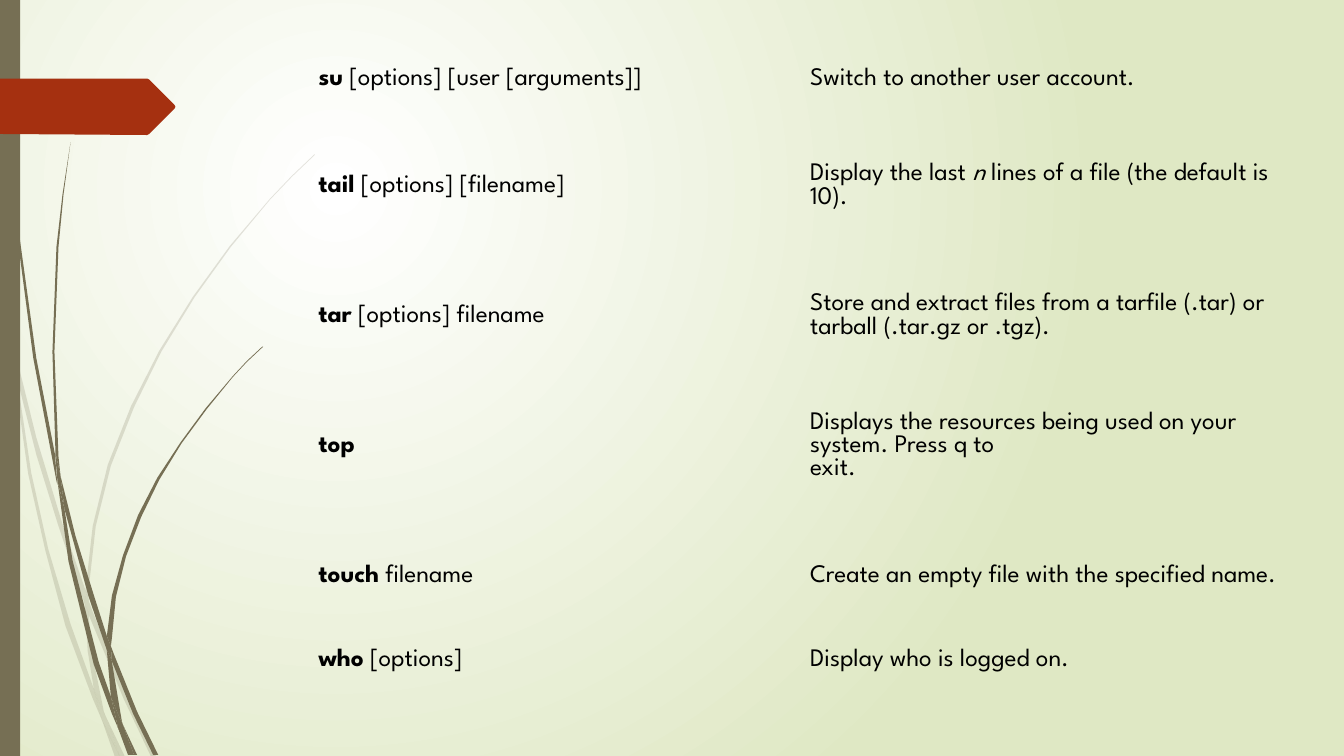
from lxml import etree
from pptx import Presentation
from pptx.dml.color import RGBColor as RGB
from pptx.enum.shapes import MSO_SHAPE as SHAPE
from pptx.enum.text import MSO_ANCHOR as ANCHOR
from pptx.oxml.ns import qn
from pptx.util import Inches, Pt

THEME = {
    "centre": RGB.from_string("FFFFFF"),
    "edge": RGB.from_string("DFE8C4"),
    "stem": RGB.from_string("766F54"),
    "tag": RGB.from_string("A53010"),
    "text": RGB.from_string("000000"),
    "font": "League Spartan",
    "size": Pt(18),
    "pale": 20,
}
PLAIN_TABLE = "{2D5ABB26-0587-4C30-8999-92F81FD0307C}"

# Outlines as "x,y" points in inches from the top left of the region
PALE_STEMS = [
    "0.11,3.5 0.09,3.22 0,2.82 0,2.99 0.1,3.44",
    "0.58,5.22 0.84,5.99 0.85,5.86 0.62,5.2 0.36,4.34 0.14,3.45 0.17,3.76 0.36,4.51",
    "0.92,6.07 0.88,5.96 0.88,6.1 1.23,6.94 1.5,7.51 1.55,7.51 1.27,6.92",
    "1.19,7.51 1.24,7.51 1.05,7.11",
    "0.93,6.83 0.7,6.19 0.48,5.45 0.31,4.69 0.17,3.76 0.11,3.5 0.28,4.7 0.45,5.46 "
    "0.65,6.21 0.92,6.93 1.01,7.14 0.99,7.07",
    "0.84,5.99 0.87,6.46 0.93,6.83 0.96,6.92 1.05,7.11 1.03,7.06 0.91,6.46 0.88,6.1 0.88,6.08",
    "0.88,5.84 0.95,5.22 1.1,4.62 1.33,4.04 1.6,3.49 1.93,2.95 2.29,2.45 2.68,1.98 2.9,1.75 "
    "3.12,1.54 3.12,1.53 2.89,1.75 2.68,1.97 2.28,2.44 1.91,2.95 1.58,3.48 1.3,4.03 1.07,4.61 "
    "0.92,5.22 0.85,5.84 0.85,5.86 0.88,5.96",
    "1.01,7.14 1.14,7.51 1.19,7.51",
    "0.88,6.08 0.88,6.1 0.88,5.96 0.85,5.86 0.84,5.99",
    "0.96,6.92 0.93,6.83 0.99,7.07 1.01,7.14 1.19,7.51 1.05,7.11",
]
DARK_STEMS = [
    "0.07,1.1 0.17,2.33 0.33,3.55 0.56,4.77 0.57,4.81 0.55,4.57 0.55,4.53 0.36,3.55 0.19,2.32 "
    "0.08,1.09 0.05,0.48 0.04,0 0.03,0 0.04,0.48",
    "0.88,5.92 1.06,6.45 1.06,6.31 0.93,5.9 0.75,5.32 0.6,4.72 0.64,5.05",
    "1.13,6.49 1.1,6.41 1.11,6.56 1.32,7.08 1.52,7.49 1.57,7.49 1.36,7.06",
    "1.1,6.91 0.98,6.57 0.72,5.56 0.64,5.05 0.57,4.77 0.68,5.57 0.93,6.59 1.11,7.08 "
    "1.17,7.22 1.16,7.17",
    "0.6,4.72 0.58,4.53 0.54,3.49 0.58,2.45 0.63,1.93 0.7,1.41 0.62,1.93 0.56,2.45 "
    "0.52,3.49 0.55,4.49",
    "1.33,7.49 1.36,7.49 1.22,7.19",
    "0.57,4.77 0.64,5.05 0.6,4.72 0.55,4.49 0.55,4.53",
    "1.11,6.33 1.15,5.92 1.25,5.52 1.4,5.13 1.58,4.76 1.8,4.4 2.05,4.06 2.31,3.74 2.45,3.59 "
    "2.61,3.44 2.6,3.44 2.45,3.58 2.31,3.73 2.04,4.05 1.79,4.39 1.56,4.74 1.37,5.11 1.22,5.51 "
    "1.11,5.91 1.06,6.31 1.1,6.41",
    "1.17,7.22 1.27,7.49 1.31,7.49",
    "1.06,6.45 1.1,6.91 1.16,7.06 1.22,7.19 1.21,7.16 1.11,6.56 1.09,6.51",
    "1.06,6.45 1.09,6.51 1.11,6.56 1.1,6.41 1.06,6.31",
    "1.16,7.06 1.1,6.91 1.16,7.17 1.17,7.22 1.3,7.49 1.33,7.49 1.22,7.19",
]
TAG = "1.73,0.3 1.48,0.55 1.46,0.56 0,0.55 0,0 1.46,0 1.48,0.01 1.73,0.26 1.74,0.28"

# Command, its arguments, and the description as (text, italic) parts
COMMANDS = [
    ("su", " [options] [user [arguments]]", [("Switch to another user account.", False)]),
    ("tail", " [options] [filename]",
     [("Display the last ", False), ("n", True),
      (" lines of a file (the default is\n10).", False)]),
    ("tar", " [options] filename",
     [("Store and extract files from a tarfile (.tar) or tarball (.tar.gz or .tgz).", False)]),
    ("top", "",
     [("Displays the resources being used on your system. Press q to\nexit.", False)]),
    ("touch", " filename", [("Create an empty file with the specified name.", False)]),
    ("who", " [options]", [("Display who is logged on.", False)]),
]
ROW_HEIGHTS = [0.61, 1.52, 1.06, 1.52, 1.06, 0.61]


def paint(sp, color, alpha=None):
    sp.shadow.inherit = False
    sp.fill.solid()
    sp.fill.fore_color.rgb = color
    sp.line.fill.background()
    if alpha is not None:
        clr = sp.fill._xPr.find(".//" + qn("a:srgbClr"))
        etree.SubElement(clr, qn("a:alpha")).set("val", str(alpha * 1000))


def add_outline(shapes, box, outline, color, alpha=None):
    left, top = box[:2]
    pts = [tuple(map(float, pt.split(","))) for pt in outline.split()]
    pts = [(Inches(left + x), Inches(top + y)) for x, y in pts]
    builder = shapes.build_freeform(*pts[0])
    builder.add_line_segments(pts[1:], close=True)
    paint(builder.convert_to_shape(), color, alpha)


def add_background(slide):
    fill = slide.background.fill
    fill.gradient()
    for stop, pos, key in zip(fill.gradient_stops, (0, 1), ("centre", "edge")):
        stop.position = pos
        stop.color.rgb = THEME[key]
    # Radial gradient centred in the upper left quarter
    lin = slide._element.find(".//" + qn("a:lin"))
    radial = etree.Element(qn("a:path"), path="circle")
    etree.SubElement(radial, qn("a:fillToRect"), l="50000", t="50000", r="100000", b="100000")
    lin.getparent().replace(lin, radial)


def add_side_art(slide, box):
    left, top, width, height = box
    # Grass stems, pale ones behind
    for stems, alpha in ((PALE_STEMS, THEME["pale"]), (DARK_STEMS, None)):
        group = slide.shapes.add_group_shape()
        for outline in stems:
            add_outline(group.shapes, box, outline, THEME["stem"], alpha)
    # Edge bar and tag
    bar = slide.shapes.add_shape(SHAPE.RECTANGLE, *map(Inches, (left, top, width, height)))
    paint(bar, THEME["stem"])
    add_outline(slide.shapes, (left, top + 0.78), TAG, THEME["tag"])


def add_run(p, text, **style):
    for i, line in enumerate(text.split("\n")):
        if i:
            p.add_line_break()
        r = p.add_run()
        r.text = line
        for name, value in {"name": THEME["font"], "size": THEME["size"], **style}.items():
            setattr(r.font, name, value)
        r.font.color.rgb = THEME["text"]


def add_command_table(slide, box):
    frame = slide.shapes.add_table(len(COMMANDS), 2, *map(Inches, box))
    tbl = frame.table
    tbl.first_row = tbl.horz_banding = False
    frame._element.find(".//" + qn("a:tableStyleId")).text = PLAIN_TABLE
    for col in tbl.columns:
        col.width = Inches(box[2] / 2)
    for row, height, (command, args, parts) in zip(tbl.rows, ROW_HEIGHTS, COMMANDS):
        row.height = Inches(height)
        for cell in row.cells:
            cell.fill.background()
            cell.vertical_anchor = ANCHOR.MIDDLE
        usage, meaning = (cell.text_frame.paragraphs[0] for cell in row.cells)
        add_run(usage, command, bold=True)
        if args:
            add_run(usage, args, bold=False)
        for text, italic in parts:
            add_run(meaning, text, bold=False, italic=italic)


prs = Presentation()
prs.slide_width, prs.slide_height = Inches(13.33), Inches(7.5)
s = prs.slides.add_slide(prs.slide_layouts[6])
add_background(s)
add_side_art(s, (0, 0, 0.2, 7.5))
add_command_table(s, (3.06, 0.48, 9.75, 6.39))
prs.save("out.pptx")
